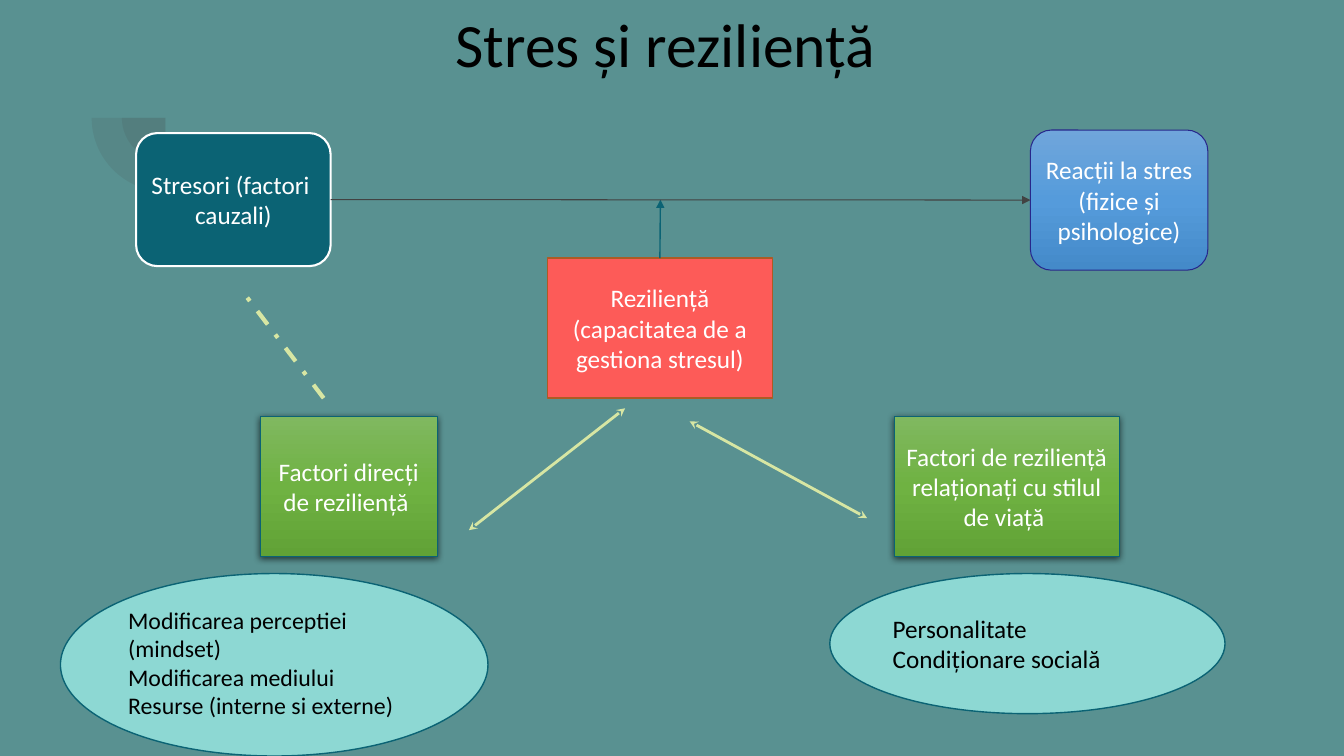
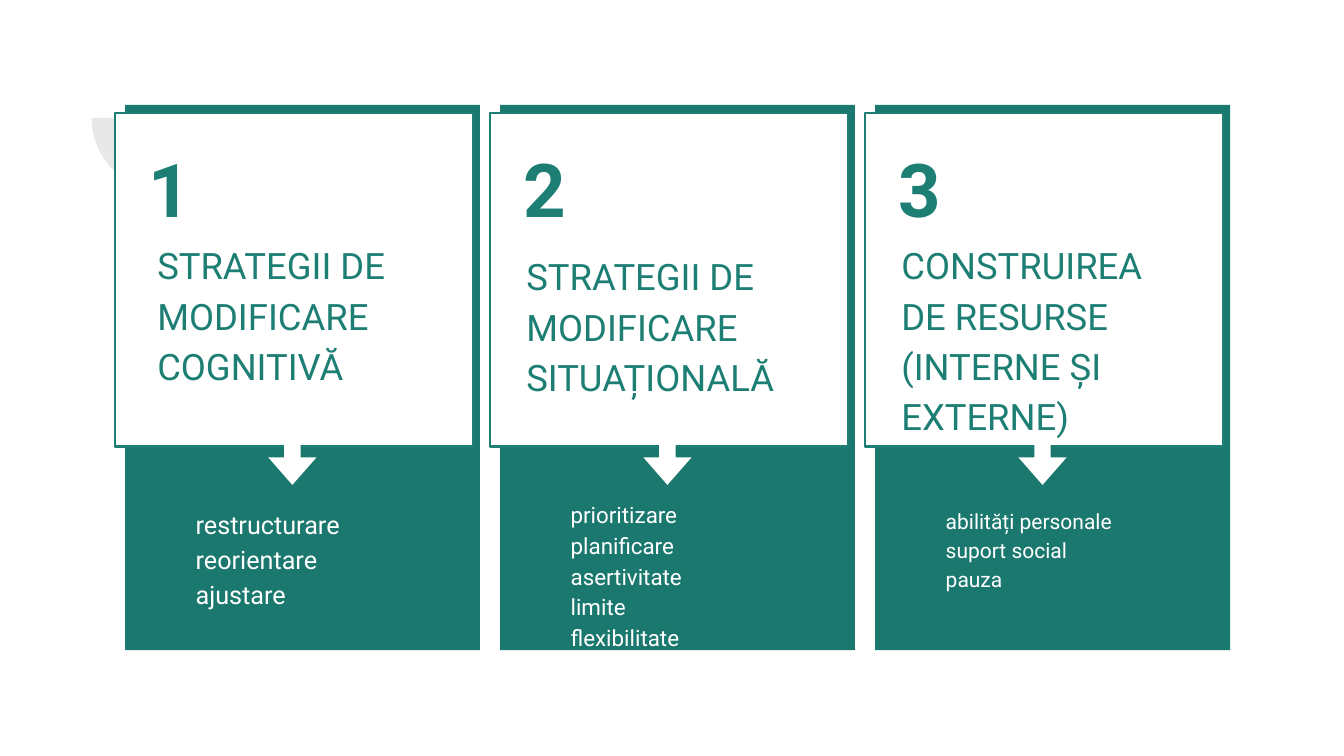
from copy import deepcopy
from math import cos, pi, sin

from pptx import Presentation
from pptx.dml.color import RGBColor
from pptx.enum.dml import MSO_LINE
from pptx.enum.shapes import MSO_CONNECTOR, MSO_SHAPE
from pptx.enum.text import MSO_ANCHOR as ANCHOR, PP_ALIGN as ALIGN
from pptx.oxml.ns import qn
from pptx.oxml.xmlchemy import OxmlElement
from pptx.util import Emu, Pt

EMU_PER_PX = 9144
TEAL, DEEP_TEAL, PANEL_TEAL = "0B6374", "1D7E74", "1B786E"
WHITE, BLACK, CHARCOAL = "FFFFFF", "000000", "424242"
LIME, AQUA, CORAL, RUST, NAVY = "D7E6A3", "8DD8D3", "FD5B58", "AD5B24", "27278B"
GREENS = ("80B860", "6FB242", "61A236")
BLUES = ("70A6DB", "559BDB", "448AC9")
DIAGRAM_FONT, CARD_FONT = "Calibri", "Roboto"
TOP, LEFT, RIGHT = 0, 1, 3


def px(value):
    return Emu(round(value * EMU_PER_PX))


def rgb(color):
    return RGBColor.from_string(color)


def add_child(parent, tag, **attributes):
    child = OxmlElement(tag)
    for key, value in attributes.items():
        child.set(key, str(value))
    parent.append(child)
    return child


def set_alpha(color_element, percent):
    add_child(color_element, "a:alpha", val=percent * 1000)


def new_slide(prs, background):
    slide = prs.slides.add_slide(prs.slide_layouts[6])
    slide.background.fill.solid()
    slide.background.fill.fore_color.rgb = rgb(background)
    return slide


def add_corner_wedge(slide, radius):
    center_x, center_y = 164, 117
    arc = [(px(center_x - radius * cos(step * pi / 80)),
            px(center_y + radius * sin(step * pi / 80))) for step in range(41)]
    builder = slide.shapes.build_freeform(px(center_x), px(center_y), scale=1.0)
    builder.add_line_segments(arc, close=True)
    wedge = builder.convert_to_shape()
    wedge.shadow.inherit = False
    wedge.line.fill.background()
    wedge.fill.solid()
    wedge.fill.fore_color.rgb = rgb(CHARCOAL)
    set_alpha(wedge._element.spPr.find(".//" + qn("a:srgbClr")), 12)


def write(shape, lines, size, color, font=DIAGRAM_FONT, align=ALIGN.LEFT,
          anchor=ANCHOR.TOP, inset=5, spacing=None, bold=False, indent=0):
    frame = shape.text_frame
    frame.word_wrap = True
    frame.vertical_anchor = anchor
    frame.margin_left = frame.margin_right = px(inset)
    frame.margin_top = frame.margin_bottom = px(inset)
    for index, line in enumerate(lines):
        paragraph = frame.add_paragraph() if index else frame.paragraphs[0]
        paragraph.text = line
        paragraph.alignment = align
        if indent:
            paragraph._p.get_or_add_pPr().set("marL", str(px(indent)))
        if spacing:
            paragraph.line_spacing = spacing
        paragraph.font.name = font
        paragraph.font.size = Pt(size)
        paragraph.font.bold = bold
        paragraph.font.color.rgb = rgb(color)


def add_text(slide, box, lines, size, color, **style):
    write(slide.shapes.add_textbox(*map(px, box)), lines, size, color, **style)


def fill_gradient(shape, colors):
    shape.fill.gradient()
    shape.fill.gradient_angle = 270
    stop_list = shape._element.spPr.find(".//" + qn("a:gsLst"))
    stop_list.insert(1, deepcopy(stop_list[0]))
    for index, (stop, color) in enumerate(zip(shape.fill.gradient_stops, colors)):
        stop.position = index / 2
        stop.color.rgb = rgb(color)


def add_block(slide, kind, box, fill, outline=None, width=1, adjustments=()):
    block = slide.shapes.add_shape(kind, *map(px, box))
    block.shadow.inherit = False
    for index, value in enumerate(adjustments):
        block.adjustments[index] = value
    if isinstance(fill, tuple):
        fill_gradient(block, fill)
    else:
        block.fill.solid()
        block.fill.fore_color.rgb = rgb(fill)
    if outline:
        block.line.color.rgb = rgb(outline)
        block.line.width = Pt(width)
    else:
        block.line.fill.background()
    return block


def add_label(block, *lines):
    write(block, lines, 18, WHITE, align=ALIGN.CENTER, anchor=ANCHOR.MIDDLE)


def add_factor(slide, box, label):
    factor = add_block(slide, MSO_SHAPE.RECTANGLE, box, GREENS, TEAL, 0.75)
    effects = factor._element.spPr.find(qn("a:effectLst"))
    shadow = add_child(effects, "a:outerShdw", blurRad=Pt(5), dist=Pt(1.5),
                       dir=5400000, algn="ctr", rotWithShape=0)
    set_alpha(add_child(shadow, "a:srgbClr", val=BLACK), 62)
    add_label(factor, label)


def add_details(slide, box, lines, size, anchor):
    oval = add_block(slide, MSO_SHAPE.OVAL, box, AQUA, TEAL)
    write(oval, lines, size, BLACK, anchor=anchor)


def add_link(slide, start, end, color, width, head=None, tail=None, dash=None):
    link = slide.shapes.add_connector(MSO_CONNECTOR.STRAIGHT, *map(px, start + end))
    link.line.color.rgb = rgb(color)
    link.line.width = Pt(width)
    if dash:
        link.line.dash_style = dash
    outline = link.line._get_or_add_ln()
    for tag, arrow in (("a:headEnd", head), ("a:tailEnd", tail)):
        if arrow:
            add_child(outline, tag, type=arrow)
    add_child(link._element.spPr, "a:effectLst")
    return link


def build_stress_slide(prs):
    slide = new_slide(prs, "599191")
    for radius in (43, 73):
        add_corner_wedge(slide, radius)
    add_text(slide, (92, 6, 1150, 83), ["Stres și reziliență "], 44, BLACK,
             align=ALIGN.CENTER, anchor=ANCHOR.MIDDLE, spacing=0.9)

    stressors = add_block(slide, MSO_SHAPE.ROUNDED_RECTANGLE, (135, 132, 193, 132),
                          TEAL, WHITE, 1.5, [0.16])
    add_label(stressors, "Stresori (factori ", "cauzali)")
    reactions = add_block(slide, MSO_SHAPE.ROUNDED_RECTANGLE, (1022, 129, 176, 139),
                          BLUES, NAVY, 0.75, [0.15])
    add_label(reactions, "Reacții la stres (fizice și psihologice)")
    resilience = add_block(slide, MSO_SHAPE.RECTANGLE, (543, 256, 223, 139), CORAL, RUST)
    add_label(resilience, "Reziliență (capacitatea de a gestiona stresul)")

    add_factor(slide, (258, 413, 176, 139), "Factori direcți de reziliență ")
    add_factor(slide, (887, 413, 223, 139),
               "Factori de reziliență relaționați cu stilul de viață ")
    add_details(slide, (823, 569, 392, 139),
                ["Personalitate", "Condiționare socială"], 18, ANCHOR.MIDDLE)
    add_details(slide, (60, 569, 424, 181),
                ["Modificarea perceptiei (mindset)", "Modificarea mediului",
                 "Resurse (interne si externe)"], 17, ANCHOR.TOP)

    for start, end in (((620, 405), (465, 526)), ((684, 418), (860, 514))):
        add_link(slide, start, end, LIME, 2, head="stealth", tail="stealth")
    add_link(slide, (321, 395), (245, 295), LIME, 3, dash=MSO_LINE.DASH_DOT)
    influence = add_link(slide, (655, 256), (655, 198), TEAL, 1, tail="triangle")
    influence.begin_connect(resilience, TOP)
    effect = add_link(slide, (328, 198), (1022, 198), CHARCOAL, 0.75, tail="triangle")
    effect.begin_connect(stressors, RIGHT)
    effect.end_connect(reactions, LEFT)


def add_strategy(slide, number, heading, heading_at, items, items_top, item_size):
    left = 124 + 372 * (number - 1)
    heading_offset, heading_top = heading_at
    add_block(slide, MSO_SHAPE.RECTANGLE, (left, 104, 352, 541), PANEL_TEAL)
    add_block(slide, MSO_SHAPE.RECTANGLE, (left - 10, 112, 355, 331),
              WHITE, DEEP_TEAL, 1.5)
    add_text(slide, (left + heading_offset, heading_top, 315, 218), [heading], 26,
             DEEP_TEAL, font=CARD_FONT, inset=13, spacing=1.15)
    add_text(slide, (left + 10, 129, 315, 116), [str(number)], 53, DEEP_TEAL,
             font=CARD_FONT, inset=13, bold=True)
    add_block(slide, MSO_SHAPE.DOWN_ARROW, (left + 142, 429, 48, 52), WHITE,
              adjustments=[0.34, 0.57])
    add_text(slide, (left - 10, items_top, 352, 163), items, item_size, WHITE,
             font=CARD_FONT, inset=13, spacing=1.15, indent=67)


def build_strategies_slide(prs):
    slide = new_slide(prs, WHITE)
    add_corner_wedge(slide, 73)
    strategies = (
        ("STRATEGII DE MODIFICARE COGNITIVĂ", (19, 222),
         ["restructurare", "reorientare", "ajustare"], 488, 18),
        ("STRATEGII DE MODIFICARE SITUAȚIONALĂ", (13, 233),
         ["prioritizare", "planificare", "asertivitate", "limite", "flexibilitate"],
         480, 16),
        ("CONSTRUIREA DE RESURSE (INTERNE ȘI EXTERNE)", (13, 222),
         ["abilități personale", "suport social", "pauza"], 488, 15),
    )
    for number, strategy in enumerate(strategies, 1):
        add_strategy(slide, number, *strategy)


def main():
    prs = Presentation()
    prs.slide_width, prs.slide_height = px(1333), px(750)
    build_stress_slide(prs)
    build_strategies_slide(prs)
    prs.save("out.pptx")


if __name__ == "__main__":
    main()
